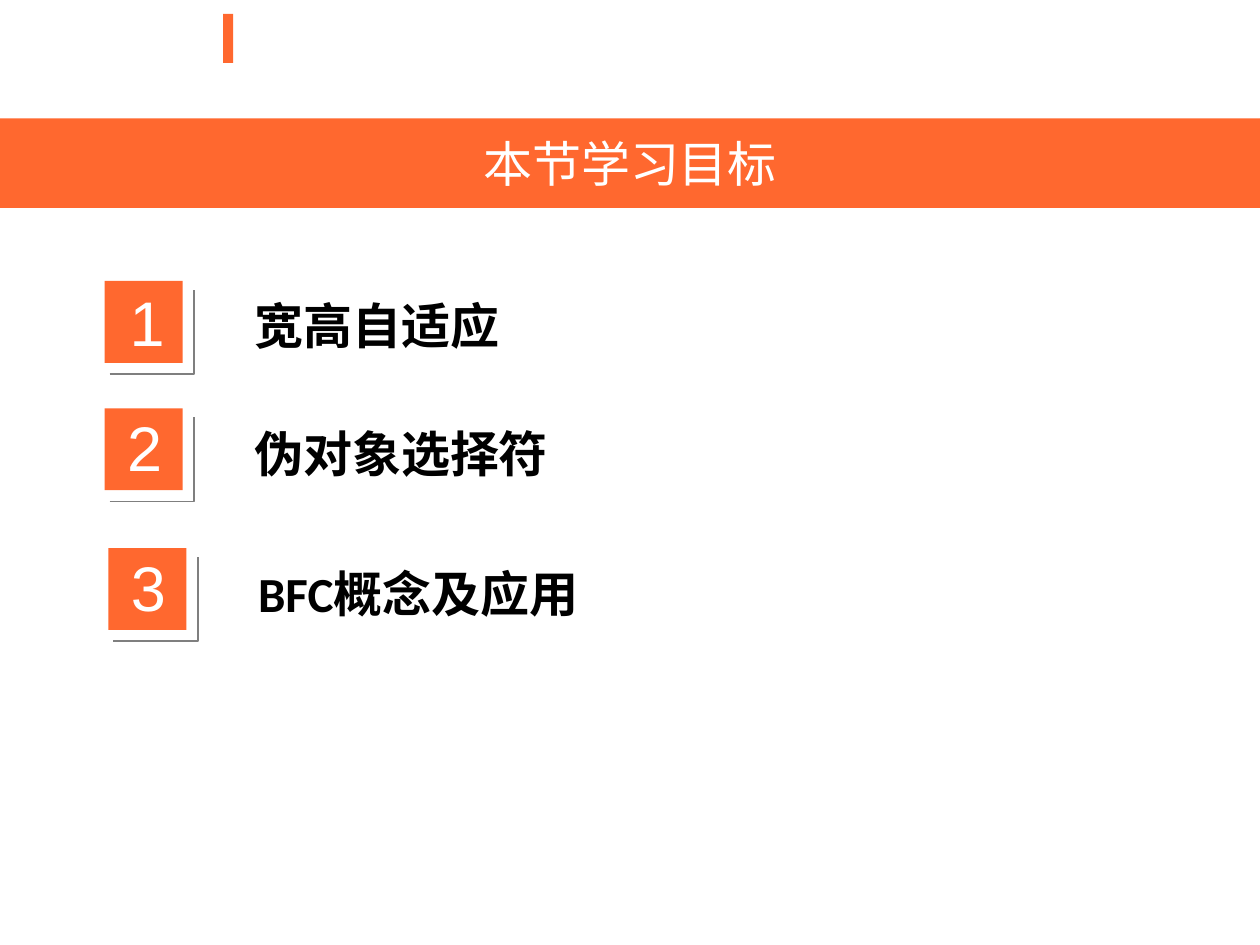
from pptx import Presentation
from pptx.dml.color import RGBColor
from pptx.enum.shapes import MSO_SHAPE
from pptx.enum.text import MSO_ANCHOR, MSO_AUTO_SIZE, PP_ALIGN
from pptx.util import Inches, Pt
from lxml.etree import SubElement
from pptx.oxml.ns import qn

ORANGE = RGBColor(0xFF, 0x68, 0x2F)
WHITE = RGBColor(0xFF, 0xFF, 0xFF)
BLACK = RGBColor(0, 0, 0)
GRAY = RGBColor(0x7F, 0x7F, 0x7F)
HAN = "Noto Sans CJK SC"


class Deck:
    """Holds the style and the current slide, and draws its elements."""

    def __init__(self):
        self.file = Presentation()
        self.file.slide_width = Inches(10)
        self.file.slide_height = Inches(7.5)
        self.slide = self.file.slides.add_slide(self.file.slide_layouts[5])

    def style(self, frame, text, size, color, face="Arial", bold=False):
        frame.text = text
        font = frame.paragraphs[0].font
        font.size, font.bold, font.name = Pt(size), bold, face
        font.color.rgb = color
        SubElement(font._element, qn("a:ea")).set("typeface", HAN)

    def title(self, text, x, y, w, h):
        bar = self.slide.shapes.title
        bar.left, bar.top = Inches(x), Inches(y)
        bar.width, bar.height = Inches(w), Inches(h)
        bar.fill.solid()
        bar.fill.fore_color.rgb = ORANGE
        frame = bar.text_frame
        frame.auto_size = MSO_AUTO_SIZE.NONE
        frame.vertical_anchor = MSO_ANCHOR.MIDDLE
        self.style(frame, text, 28, WHITE)
        frame.paragraphs[0].alignment = PP_ALIGN.CENTER

    def block(self, x, y, w, h):
        box = self.slide.shapes.add_shape(
            MSO_SHAPE.RECTANGLE, Inches(x), Inches(y), Inches(w), Inches(h))
        box.shadow.inherit = False
        box.fill.solid()
        box.fill.fore_color.rgb = ORANGE
        box.line.fill.background()

    def text(self, text, x, y, w, h, *look):
        box = self.slide.shapes.add_textbox(
            Inches(x), Inches(y), Inches(w), Inches(h))
        box.text_frame.word_wrap = True
        self.style(box.text_frame, text, *look)

    def corner(self, x, y, w, h):
        pen = self.slide.shapes.build_freeform(Inches(x), Inches(y + h))
        pen.add_line_segments(
            [(Inches(x + w), Inches(y + h)), (Inches(x + w), Inches(y))],
            close=False)
        edge = pen.convert_to_shape()
        edge.shadow.inherit = False
        edge.fill.background()
        edge.line.color.rgb = GRAY
        edge.line.width = Pt(1)

    def goal(self, mark, label, face, x, y, dx, dy):
        self.block(x, y, 0.62, 0.65)
        self.text(mark, x + dx, y + dy, 0.51, 0.71, 36, WHITE)
        self.corner(x + 0.04, y + 0.07, 0.67, 0.67)
        self.text(label, x + 1.09, y + 0.07, 7.69, 0.57, 28, BLACK, face, True)

    def save(self):
        self.file.save("out.pptx")


GOALS = [
    ("宽高自适应", HAN, 0.83, 2.23, 0.1, -0.03),
    ("伪对象选择符", HAN, 0.83, 3.24, 0.08, -0.05),
    ("BFC概念及应用", "Calibri", 0.86, 4.35, 0.08, -0.05),
]

deck = Deck()
deck.block(1.77, 0.11, 0.08, 0.39)
deck.title("本节学习目标", 0, 0.94, 10, 0.71)
for mark, goal in enumerate(GOALS, 1):
    deck.goal(str(mark), *goal)
deck.save()
